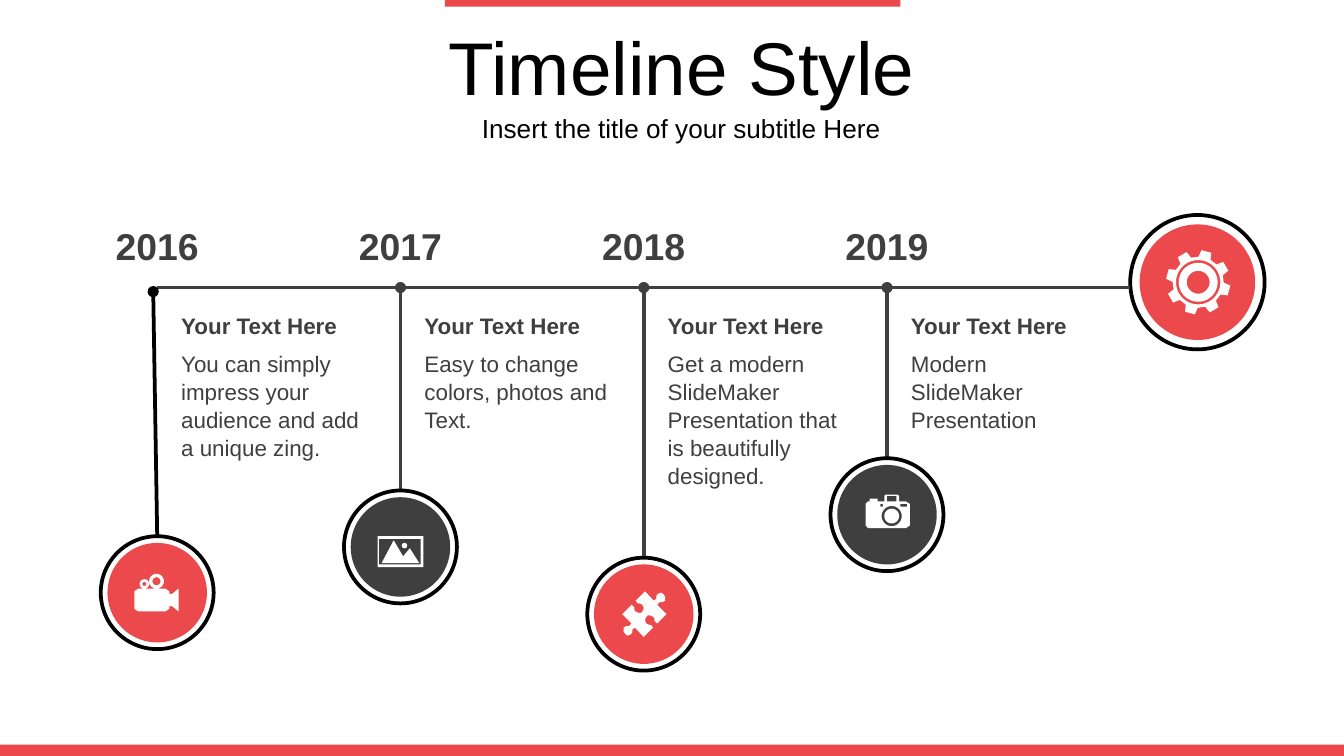
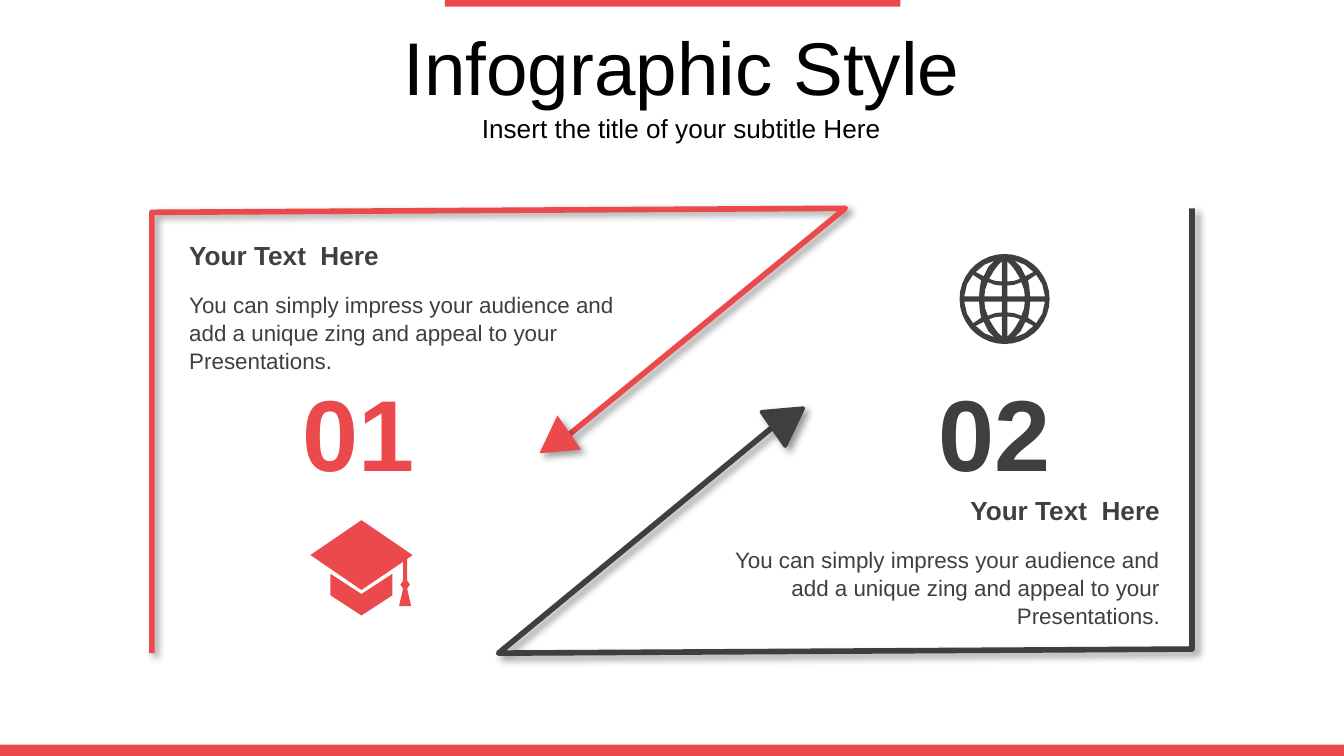
from dataclasses import dataclass
from math import cos, radians, sin

from lxml import etree
from pptx import Presentation
from pptx.dml.color import RGBColor
from pptx.enum.shapes import MSO_CONNECTOR, MSO_SHAPE
from pptx.enum.text import MSO_ANCHOR, PP_ALIGN
from pptx.oxml.ns import qn
from pptx.util import Emu, Pt

RECT, OVAL, TRIANGLE = MSO_SHAPE.RECTANGLE, MSO_SHAPE.OVAL, MSO_SHAPE.ISOSCELES_TRIANGLE
STRAIGHT = MSO_CONNECTOR.STRAIGHT
TOP, MIDDLE = MSO_ANCHOR.TOP, MSO_ANCHOR.MIDDLE
LEFT, CENTER, RIGHT = PP_ALIGN.LEFT, PP_ALIGN.CENTER, PP_ALIGN.RIGHT

PX = 9144
WIDTH = 1000
COLORS = {"red": "EB494B", "dark": "3F3F3F", "black": "000000", "white": "FFFFFF"}
FORMATS = {
    "title": {"size": Pt(40), "bold": False},
    "subtitle": {"size": Pt(14), "bold": False},
    "year": {"size": Pt(20), "bold": True},
    "number": {"size": Pt(54), "bold": True},
    "lead": {"size": Pt(14), "bold": True},
    "heading": {"size": Pt(12), "bold": True},
    "body": {"size": Pt(12), "bold": False},
}
Point = tuple[float, float]
Contour = list[Point]
Box = tuple[int, int, int, int]


@dataclass
class Milestone:
    """One year on the timeline."""
    year: str
    body: str
    lines: int
    disc_top: int
    color: str
    icon: list[Contour]


@dataclass
class Panel:
    """One numbered frame with its arrow, text and icon."""
    number: str
    color: str
    outline: Contour
    arrow: Point
    turn: float
    edge: float
    number_left: int
    text_left: int
    text_top: int
    align: PP_ALIGN
    icon: list[Contour]


def px(n: float) -> Emu:
    """Turn px into EMU."""
    return Emu(round(n * PX))


def rgb(name: str) -> RGBColor:
    """Look up a colour."""
    return RGBColor.from_string(COLORS[name])


def polar(cx: float, cy: float, r: float, angle: float) -> Point:
    """Return the point at a clockwise angle from the top."""
    return cx + r * sin(radians(angle)), cy - r * cos(radians(angle))


def circle(cx: float, cy: float, r: float) -> Contour:
    """Outline a circle."""
    return [polar(cx, cy, r, a) for a in range(0, 360, 10)]


def box(left: int, top: int, width: int, height: int) -> Contour:
    """Outline a rectangle."""
    right, bottom = left + width, top + height
    return [(left, top), (right, top), (right, bottom), (left, bottom)]


def gear(cx: float, cy: float) -> list[Contour]:
    """Outline a gear with eight teeth and a hub."""
    tooth = ((-14, 19), (-9, 24), (9, 24), (14, 19))
    rim = [polar(cx, cy, r, 15 + 45 * i + a) for i in range(8) for a, r in tooth]
    return [rim] + [circle(cx, cy, r) for r in (16.5, 14.5, 8.5)]


def globe(cx: float, cy: float) -> list[Contour]:
    """Outline a globe whose gaps are mirrored from one quadrant."""
    gaps = [
        [(2, 13), (2, 28), (5, 25), (8, 21), (11.5, 15), (7, 13.5)],
        [(2, 2), (2, 10), (7, 10.5), (12.5, 12.5), (14.5, 7), (15, 2)],
        [(19, 2), (18.5, 8), (17.5, 14), (23.5, 18), (28, 11), (30, 2)],
        [(15.5, 17), (12, 24), (7.5, 28.5), (15, 25.5), (21.5, 20), (18.5, 18.5)],
    ]
    return [circle(cx, cy, 33.5)] + [
        [(cx + sx * x, cy + sy * y) for x, y in gap]
        for gap in gaps for sx in (1, -1) for sy in (1, -1)]


def puzzle(cx: float, cy: float) -> list[Contour]:
    """Outline a puzzle piece from one half turned about its centre."""
    half = [(14, -15), (15.5, -13), (15.5, -10), (13.5, -9), (11.5, -9), (9.5, -7),
            (16.5, 0), (9.5, 7), (7.5, 5), (7.5, 3), (6.5, 2), (4.5, 1), (2.5, 1),
            (1.5, 2), (.5, 4), (.5, 5), (1.5, 7), (3.5, 8), (5, 8), (6.5, 10),
            (-.5, 17), (-7, 10), (-9, 11.5), (-9, 13.5), (-10, 15), (-12.5, 16)]
    return [[(cx + s * x, cy + s * y) for s in (1, -1) for x, y in half]]


MOVIE = [
    [(103, 438), (123, 438), (126, 440), (126, 442), (128, 442), (133, 438), (133, 455),
     (128, 451), (126, 451), (126, 453), (123, 455), (103, 455), (100, 453), (100, 440)],
    circle(116.5, 432.5, 5.5), circle(116.5, 432.5, 3),
    circle(107.5, 434.5, 3.5), circle(107.5, 434.5, 1.5),
]
PHOTO = [
    box(281, 399, 34, 23), box(282, 401, 31, 19), circle(301, 406, 2),
    [(293, 402), (300, 414), (305, 408), (312, 419), (284, 419)],
]
CAMERA = [
    [(659, 368), (668, 368), (669, 369), (669, 373), (674, 373), (677, 375), (677, 391),
     (674, 393), (646, 393), (644, 391), (644, 375), (646, 373), (647, 373), (647, 371),
     (653, 371), (653, 373), (658, 373), (658, 369)],
    box(660, 369, 7, 4), box(655, 375, 2, 2), box(670, 375, 5, 2),
    circle(663.5, 384, 7.5), circle(663.5, 384, 5.5),
]
CAP = [
    [(246, 427), (269, 442), (292, 427), (292, 443), (269, 458), (246, 443)],
    [(269, 387), (307, 413), (303, 416), (303, 432), (305, 435), (303, 438), (306, 451),
     (297, 451), (300, 438), (298, 435), (300, 432), (300, 418), (269, 439), (231, 413)],
]
MILESTONES = [
    Milestone("2016", "You can simply impress your audience and add a unique zing.",
              4, 399, "red", MOVIE),
    Milestone("2017", "Easy to change colors, photos and Text.", 3, 365, "dark", PHOTO),
    Milestone("2018", "Get a modern SlideMaker Presentation that is beautifully designed.",
              5, 415, "red", puzzle(479.5, 457)),
    Milestone("2019", "Modern SlideMaker Presentation", 3, 341, "dark", CAMERA),
]
PANELS = [
    Panel("01", "red", [(113, 486), (113, 158), (629, 155), (424, 323)], (397, 316), 235.2, 0,
          206, 131, 173, LEFT, CAP),
    Panel("02", "dark", [(887, 155), (887, 483), (371, 486), (576, 317)], (571, 298), 55.2, 2,
          679, 520, 363, RIGHT, globe(747.5, 222.5)),
]
PANEL_BODY = ("You can simply impress your audience and add a unique zing "
              "and appeal to your Presentations.")


def paint(sp, fill: str = "", line: str = "", width: float = 0, shadow: bool = False) -> None:
    """Set fill, line and shadow of a shape."""
    if fill:
        sp.fill.solid()
        sp.fill.fore_color.rgb = rgb(fill)
    else:
        sp.fill.background()
    if width:
        sp.line.color.rgb = rgb(line)
        sp.line.width = Pt(width)
        etree.SubElement(sp.line._get_or_add_ln(), qn("a:round"))
    else:
        sp.line.fill.background()
    sp.shadow.inherit = False
    if shadow:
        effects = sp._element.spPr.find(qn("a:effectLst"))
        outer = etree.SubElement(effects, qn("a:outerShdw"), blurRad=str(Pt(4)),
                                 dist=str(Pt(3)), dir="2700000", algn="tl", rotWithShape="0")
        color = etree.SubElement(outer, qn("a:srgbClr"), val=COLORS["black"])
        etree.SubElement(color, qn("a:alpha"), val="40000")


def add_shape(s, kind: MSO_SHAPE, at: Box, fill: str, line: str = "", width: float = 0,
              shadow: bool = False, turn: float = 0) -> None:
    """Draw a preset shape."""
    sp = s.shapes.add_shape(kind, *map(px, at))
    sp.rotation = turn
    paint(sp, fill, line, width, shadow)


def add_outline(s, contours: list[Contour], closed: bool = True, **look) -> None:
    """Draw contours as one freeform."""
    scaled = [[(px(x), px(y)) for x, y in c] for c in contours]
    fb = s.shapes.build_freeform(*scaled[0][0])
    for i, c in enumerate(scaled):
        if i:
            fb.move_to(*c[0])
        fb.add_line_segments(c[1:], close=closed)
    paint(fb.convert_to_shape(), **look)


def add_line(s, start: Point, end: Point, color: str, dot: bool = False) -> None:
    """Draw a straight line, with a dot at its start if asked."""
    cn = s.shapes.add_connector(STRAIGHT, *map(px, start + end))
    cn.line.color.rgb = rgb(color)
    cn.line.width = Pt(2)
    if dot:
        etree.SubElement(cn.line._get_or_add_ln(), qn("a:headEnd"), type="oval")
    etree.SubElement(cn._element.spPr, qn("a:effectLst"))


def add_text(s, at: Box, text: str, style: str, color: str = "dark", align: PP_ALIGN = LEFT,
             anchor: MSO_ANCHOR = TOP, pad: int = 5) -> None:
    """Write one paragraph in a text box."""
    tf = s.shapes.add_textbox(*map(px, at)).text_frame
    frame = {"word_wrap": True, "vertical_anchor": anchor, "margin_left": px(10),
             "margin_right": px(10), "margin_top": px(pad), "margin_bottom": px(pad)}
    p = tf.paragraphs[0]
    p.alignment = align
    if style == "body":
        p.line_spacing = 1.04
    r = p.add_run()
    r.text = text
    r.font.color.rgb = rgb(color)
    for target, values in ((tf, frame), (r.font, {"name": "Arial", **FORMATS[style]})):
        for key, value in values.items():
            setattr(target, key, value)


def add_disc(s, left: int, top: int, size: int, inset: int, color: str) -> None:
    """Draw a ringed disc."""
    inner = size - 2 * inset
    add_shape(s, OVAL, (left, top, size, size), "white", "black", 2)
    add_shape(s, OVAL, (left + inset, top + inset, inner, inner), color)


def add_slide(prs, title: str):
    """Add a slide with bands, title and subtitle."""
    s = prs.slides.add_slide(prs.slide_layouts[6])
    add_shape(s, RECT, (331, 0, 339, 5), "red")
    add_shape(s, RECT, (0, 554, WIDTH, 9), "red")
    add_text(s, (45, 80, 924, 31), "Insert the title of your subtitle Here", "subtitle",
             "black", CENTER, MIDDLE, 10)
    add_text(s, (47, 19, 920, 60), title, "title", "black", CENTER, MIDDLE, 10)
    return s


def build_timeline(prs) -> None:
    """Build the timeline slide."""
    s = add_slide(prs, "Timeline Style")
    add_disc(s, 841, 160, 100, 7, "red")
    add_outline(s, gear(891.5, 210), fill="white")
    add_line(s, (117, 214), (841, 214), "dark")
    for i, m in enumerate(MILESTONES):
        x = 117 + 181 * i
        start, color = ((x, 214), "dark") if i else ((114, 217), "black")
        add_line(s, start, (x, m.disc_top), color, dot=True)
        add_disc(s, x - 42, m.disc_top, 84, 5, m.color)
        add_outline(s, m.icon, fill="white")
        add_text(s, (x - 58, 159, 116, 47), m.year, "year", align=CENTER, anchor=MIDDLE)
        add_text(s, (x + 8, 255, 157, 11 + 20 * m.lines), m.body, "body")
        add_text(s, (x + 8, 227, 157, 30), "Your Text Here", "heading")


def build_infographic(prs) -> None:
    """Build the two-panel slide."""
    s = add_slide(prs, "Infographic Style")
    for n in PANELS:
        add_outline(s, [n.outline], closed=False, line=n.color, width=3, shadow=True)
        add_shape(s, TRIANGLE, (*n.arrow, 31, 27), n.color, n.color, n.edge, True, n.turn)
        add_text(s, (n.number_left, 270, 122, 101), n.number, "number", n.color, CENTER, MIDDLE)
        add_text(s, (n.text_left, n.text_top + 38, 353, 71), PANEL_BODY, "body", align=n.align)
        add_text(s, (n.text_left, n.text_top, 353, 34), "Your Text  Here", "lead", align=n.align)
        add_outline(s, n.icon, fill=n.color)


def main() -> None:
    """Build and save the presentation."""
    prs = Presentation()
    prs.slide_width = px(WIDTH)
    prs.slide_height = px(WIDTH * 9 / 16)
    build_timeline(prs)
    build_infographic(prs)
    prs.save("out.pptx")


if __name__ == "__main__":
    main()
